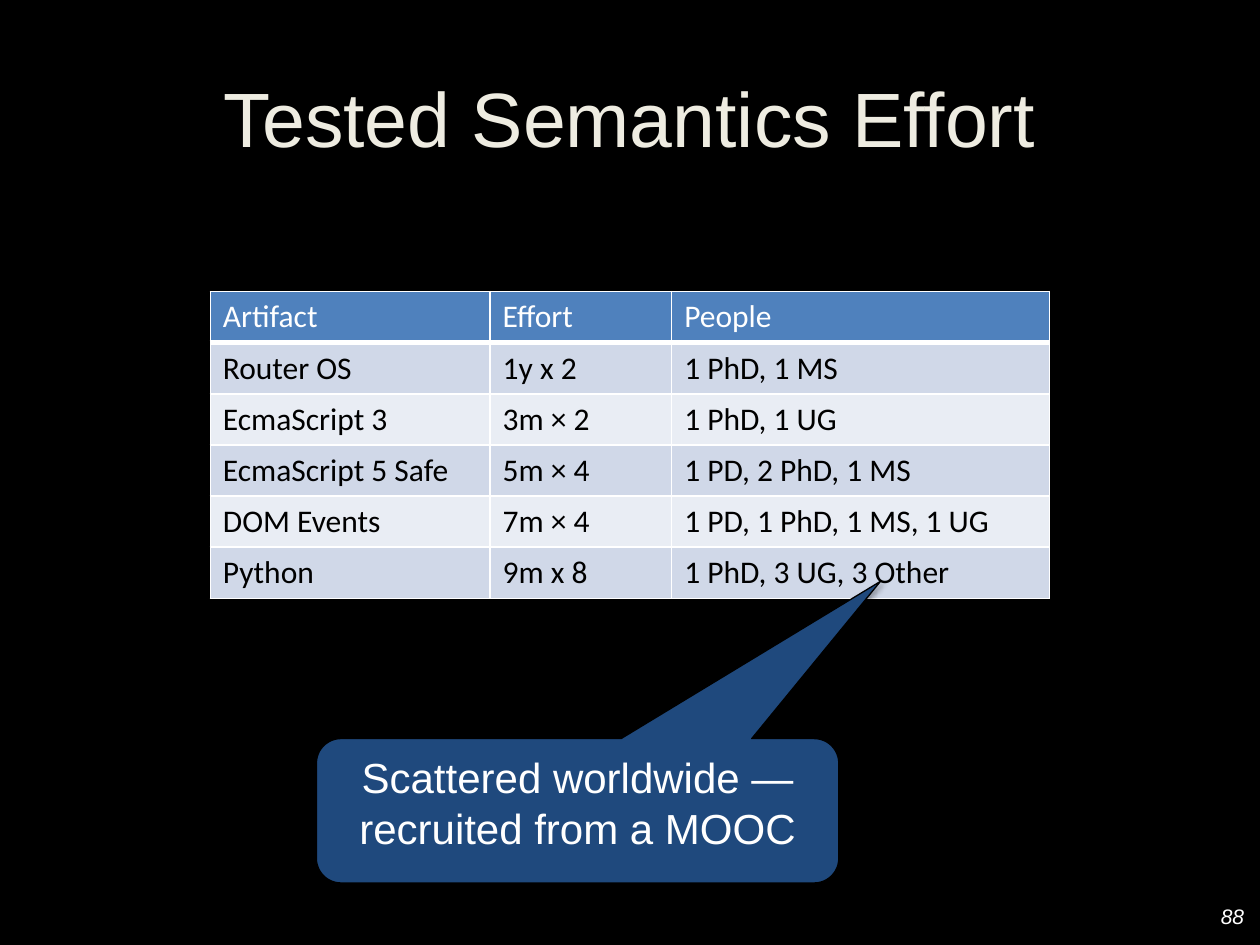
from dataclasses import dataclass

from lxml import etree
from pptx import Presentation
from pptx import util as u
from pptx.dml.color import RGBColor
from pptx.enum import shapes, text
from pptx.oxml.ns import qn


@dataclass(frozen=True)
class Theme:
    background: str = "000000"
    title: str = "EEECE1"
    light: str = "FFFFFF"
    dark: str = "000000"
    header: str = "4F81BD"
    bands: tuple = ("D0D8E8", "E9EDF4")
    callout: str = "1F497D"
    sans: str = "Arial"
    table_font: str = "Calibri"
    title_size: int = 44
    callout_size: int = 24
    table_size: int = 18
    number_size: int = 12


THEME = Theme()
ROWS = [
    ("Artifact", "Effort", "People"),
    ("Router OS", "1y x 2", "1 PhD, 1 MS"),
    ("EcmaScript 3", "3m × 2", "1 PhD, 1 UG"),
    ("EcmaScript 5 Safe", "5m × 4", "1 PD, 2 PhD, 1 MS"),
    ("DOM Events", "7m × 4", "1 PD, 1 PhD, 1 MS, 1 UG"),
    ("Python", "9m x 8", "1 PhD, 3 UG, 3 Other"),
]
COLUMN_WIDTHS = (5.64, 3.66, 7.62)
ROW_HEIGHT = 1.03


def paint(fill, color):
    fill.solid()
    fill.fore_color.rgb = RGBColor.from_string(color)


def write(frame, words, font, size, color, align=text.PP_ALIGN.LEFT, italic=False):
    para = frame.paragraphs[0]
    para.alignment = align
    span = para.add_run()
    span.text = words
    span.font.name = font
    span.font.size = u.Pt(size)
    span.font.italic = italic
    span.font.color.rgb = RGBColor.from_string(color)


def add_text(page, area, words, size, color, align, italic=False):
    box = page.shapes.add_textbox(*map(u.Cm, area))
    frame = box.text_frame
    frame.word_wrap = True
    frame.vertical_anchor = text.MSO_ANCHOR.MIDDLE
    write(frame, words, THEME.sans, size, color, align, italic)


def add_solid_color(parent, color):
    fill = etree.SubElement(parent, qn("a:solidFill"))
    return etree.SubElement(fill, qn("a:srgbClr"), val=color)


def add_borders(cell, bottom):
    """Draw white cell edges, 1 pt wide except for the given bottom width."""
    properties = cell._tc.get_or_add_tcPr()
    widths = {"a:lnL": 1, "a:lnR": 1, "a:lnT": 1, "a:lnB": bottom}
    for position, (side, width) in enumerate(widths.items()):
        edge = etree.Element(qn(side), w=str(u.Pt(width)))
        add_solid_color(edge, THEME.light)
        properties.insert(position, edge)


def add_effort_table(page, left, top):
    frame = page.shapes.add_table(
        len(ROWS), len(COLUMN_WIDTHS), u.Cm(left), u.Cm(top),
        u.Cm(sum(COLUMN_WIDTHS)), u.Cm(ROW_HEIGHT * len(ROWS)))
    table = frame.table
    for column, width in zip(table.columns, COLUMN_WIDTHS):
        column.width = u.Cm(width)
    for index, (row, words) in enumerate(zip(table.rows, ROWS)):
        row.height = u.Cm(ROW_HEIGHT)
        is_header = index == 0
        fill = THEME.header if is_header else THEME.bands[(index - 1) % 2]
        color = THEME.light if is_header else THEME.dark
        for cell, label in zip(row.cells, words):
            paint(cell.fill, fill)
            add_borders(cell, bottom=3 if is_header else 1)
            write(cell.text_frame, label, THEME.table_font, THEME.table_size, color)


def add_shadow(shape):
    shape.shadow.inherit = False
    effects = shape._element.spPr.find(qn("a:effectLst"))
    shadow = etree.SubElement(
        effects, qn("a:outerShdw"), blurRad=str(u.Pt(3.1)), dist=str(u.Pt(1.8)),
        dir=str(47 * 60000), rotWithShape="0")
    tint = add_solid_color(shadow, THEME.dark)
    shadow.replace(tint.getparent(), tint)
    etree.SubElement(tint, qn("a:alpha"), val="35000")


def add_callout(page, area, tip, words):
    """Add a rounded callout; tip is its offset from the centre, in box sizes."""
    shape = page.shapes.add_shape(
        shapes.MSO_SHAPE.ROUNDED_RECTANGULAR_CALLOUT, *map(u.Cm, area))
    for index, value in enumerate((*tip, 0.17)):
        shape.adjustments[index] = value
    paint(shape.fill, THEME.callout)
    paint(shape.line.fill, THEME.dark)
    shape.line.width = u.Pt(0.75)
    add_shadow(shape)
    frame = shape.text_frame
    frame.word_wrap = True
    frame.vertical_anchor = text.MSO_ANCHOR.TOP
    write(frame, words, THEME.sans, THEME.callout_size, THEME.light,
          text.PP_ALIGN.CENTER)


def main():
    deck = Presentation()
    deck.slide_width, deck.slide_height = u.Cm(25.4), u.Cm(19.05)
    page = deck.slides.add_slide(deck.slide_layouts[6])
    paint(page.background.fill, THEME.background)

    add_text(page, (1.27, 0.76, 22.86, 3.18), "Tested Semantics Effort",
             THEME.title_size, THEME.title, text.PP_ALIGN.CENTER)
    add_effort_table(page, left=4.24, top=5.88)
    add_callout(page, (6.38, 14.89, 10.53, 2.91), (0.58, -1.59),
                "Scattered worldwide — recruited from a MOOC")
    add_text(page, (19.41, 17.96, 5.92, 1.02), "88",
             THEME.number_size, THEME.light, text.PP_ALIGN.RIGHT, italic=True)
    deck.save("out.pptx")


if __name__ == "__main__":
    main()
